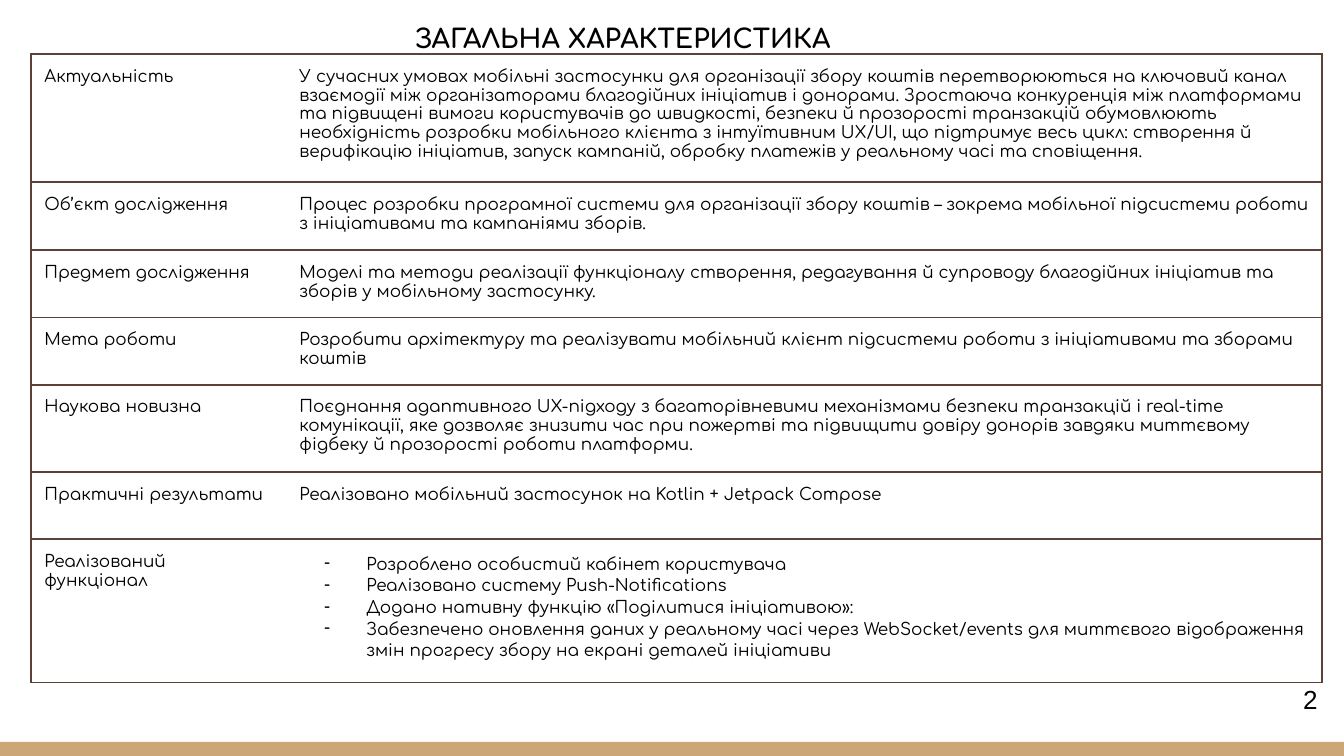
from lxml import etree
from pptx import Presentation
from pptx import util as u
from pptx.dml.color import RGBColor
from pptx.enum import shapes, text
from pptx.oxml.ns import qn

PX = 914400 / 134.4
COLORS = {"bar": "CCA677", "border": "5D4037", "paper": "FFFFFF", "ink": "000000"}
TITLE = {"name": "Comfortaa", "size": u.Pt(14), "bold": True}
BODY = {"name": "Comfortaa", "size": u.Pt(9), "bold": False}
NUMBER = {"name": "Arial", "size": u.Pt(14)}
COLUMNS = [255, 1036]
ROWS = [
    (128, "Актуальність", "У сучасних умовах мобільні застосунки для організації збору коштів "
     "перетворюються на ключовий канал взаємодії між організаторами благодійних ініціатив і "
     "донорами. Зростаюча конкуренція між платформами та підвищені вимоги користувачів до "
     "швидкості, безпеки й прозорості транзакцій обумовлюють необхідність розробки мобільного "
     "клієнта з інтуїтивним UX/UI, що підтримує весь цикл: створення й верифікацію ініціатив, "
     "запуск кампаній, обробку платежів у реальному часі та сповіщення."),
    (68, "Об’єкт дослідження", "Процес розробки програмної системи для організації збору коштів – "
     "зокрема мобільної підсистеми роботи з ініціативами та кампаніями зборів."),
    (67, "Предмет дослідження", "Моделі та методи реалізації функціоналу створення, редагування й "
     "супроводу благодійних ініціатив та зборів у мобільному застосунку."),
    (67, "Мета роботи", "Розробити архітектуру та реалізувати мобільний клієнт підсистеми роботи "
     "з ініціативами та зборами коштів"),
    (87, "Наукова новизна", "Поєднання адаптивного UX-підходу з багаторівневими механізмами безпеки "
     "транзакцій і real-time комунікації, яке дозволяє знизити час при пожертві та підвищити "
     "довіру донорів завдяки миттєвому фідбеку й прозорості роботи платформи."),
    (67, "Практичні результати", "Реалізовано мобільний застосунок на Kotlin + Jetpack Compose"),
    (143, "Реалізований функціонал", [
        "Розроблено особистий кабінет користувача",
        "Реалізовано систему Push-Notifications",
        "Додано нативну функцію «Поділитися ініціативою»:",
        "Забезпечено оновлення даних у реальному часі через WebSocket/events для миттєвого "
        "відображення змін прогресу збору на екрані деталей ініціативи",
    ]),
]


def px(n):
    return u.Emu(round(n * PX))


def rgb(name):
    return RGBColor.from_string(COLORS[name])


def add_run(p, words, fmt):
    r = p.add_run()
    r.text = words
    for key, value in fmt.items():
        setattr(r.font, key, value)
    r.font.color.rgb = rgb("ink")


def add_bar(s, *box):
    sp = s.shapes.add_shape(shapes.MSO_SHAPE.RECTANGLE, *map(px, box))
    sp.shadow.inherit = False
    sp.fill.solid()
    sp.fill.fore_color.rgb = rgb("bar")
    sp.line.fill.background()


def add_label(s, words, fmt, *box):
    tf = s.shapes.add_textbox(*map(px, box)).text_frame
    tf.word_wrap = False
    add_run(tf.paragraphs[0], words, fmt)


def set_bullet(p):
    p.line_spacing = 1.15
    pPr = p._p.get_or_add_pPr()
    pPr.set("marL", str(px(67)))
    pPr.set("indent", str(px(-42)))
    clr = etree.SubElement(pPr, qn("a:buClr"))
    etree.SubElement(clr, qn("a:srgbClr"), val=COLORS["ink"])
    etree.SubElement(pPr, qn("a:buChar"), char="-")


def set_borders(cell, sides):
    tcPr = cell._tc.get_or_add_tcPr()
    for i, side in enumerate("LRTB"):
        ln = etree.Element(qn("a:ln" + side), w=str(u.Pt(1)))
        if side in sides:
            fill = etree.SubElement(ln, qn("a:solidFill"))
            etree.SubElement(fill, qn("a:srgbClr"), val=COLORS["border"])
        else:
            etree.SubElement(ln, qn("a:noFill"))
        tcPr.insert(i, ln)


def fill_cell(cell, content, sides):
    for side in ("left", "right", "top", "bottom"):
        setattr(cell, "margin_" + side, u.Inches(0.1))
    cell.vertical_anchor = text.MSO_ANCHOR.TOP
    cell.fill.solid()
    cell.fill.fore_color.rgb = rgb("paper")
    set_borders(cell, sides)
    bulleted = isinstance(content, list)
    tf = cell.text_frame
    for i, words in enumerate(content if bulleted else [content]):
        p = tf.add_paragraph() if i else tf.paragraphs[0]
        if bulleted:
            set_bullet(p)
        add_run(p, words, BODY)


def add_summary(s, left, top):
    size = sum(COLUMNS), sum(row[0] for row in ROWS)
    table = s.shapes.add_table(len(ROWS), len(COLUMNS), *map(px, (left, top, *size))).table
    table.first_row = table.horz_banding = False
    for column, width in zip(table.columns, COLUMNS):
        column.width = px(width)
    for i, (height, *contents) in enumerate(ROWS):
        table.rows[i].height = px(height)
        for j, (content, sides) in enumerate(zip(contents, ("LTB", "RTB"))):
            fill_cell(table.cell(i, j), content, sides)


def main():
    prs = Presentation()
    prs.slide_width, prs.slide_height = px(1344), px(756)
    s = prs.slides.add_slide(prs.slide_layouts[6])
    add_bar(s, 0, 742, 1344, 14)
    add_label(s, "2", NUMBER, 1290, 677, 42, 46)
    add_label(s, "ЗАГАЛЬНА ХАРАКТЕРИСТИКА", TITLE, 402, 16, 550, 46)
    add_summary(s, 31, 54)
    prs.save("out.pptx")


if __name__ == "__main__":
    main()
